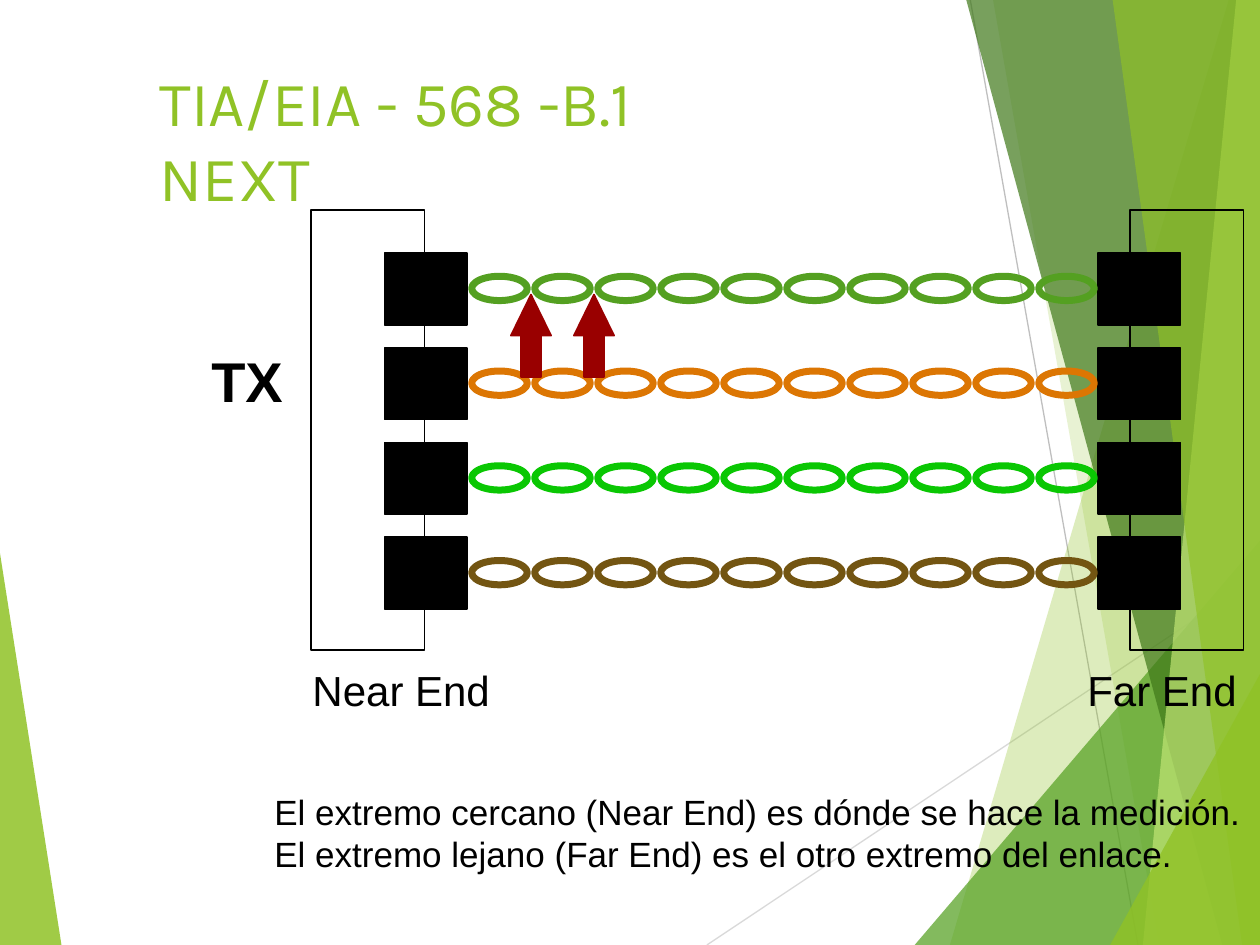
from dataclasses import dataclass
from lxml.etree import SubElement
from pptx import Presentation
from pptx.dml.color import RGBColor
from pptx.enum.shapes import MSO_CONNECTOR, MSO_SHAPE
from pptx.enum.text import MSO_ANCHOR, MSO_AUTO_SIZE
from pptx.oxml.ns import qn
from pptx.util import Cm, Pt


@dataclass(frozen=True)
class Theme:
    lime: str = "90C226"
    leaf: str = "54A021"
    forest: str = "3F7819"
    pale: str = "C0E474"
    black: str = "000000"
    red: str = "990000"
    orange: str = "DC7603"
    green: str = "0AC703"
    brown: str = "735512"
    silver: str = "BFBFBF"
    light: str = "D9D9D9"
    title: int = 36
    label: int = 32
    end: int = 24
    body: int = 20
    head: str = "Karla"
    font: str = "Arial"


class Board:
    def __init__(self, slide, theme):
        self.slide = slide
        self.theme = theme

    def paint(self, shape, fill=None, line=None, width=1, alpha=None):
        shape.shadow.inherit = False
        for part, color in ((shape.fill, fill), (shape.line.fill, line)):
            if color is None:
                part.background()
            else:
                part.solid()
                part.fore_color.rgb = RGBColor.from_string(color)
        if line:
            shape.line.width = Pt(width)
        if alpha:
            color = shape.fill._xPr.find(qn("a:solidFill"))[0]
            SubElement(color, qn("a:alpha")).set("val", str(alpha * 1000))

    def shape(self, kind, box, **style):
        item = self.slide.shapes.add_shape(kind, *map(Cm, box))
        self.paint(item, **style)
        return item

    def shard(self, points, color, alpha):
        first, *rest = [(Cm(x), Cm(y)) for x, y in points]
        build = self.slide.shapes.build_freeform(*first)
        build.add_line_segments(rest)
        self.paint(build.convert_to_shape(), fill=color, alpha=alpha)

    def line(self, start, end, color):
        item = self.slide.shapes.add_connector(
            MSO_CONNECTOR.STRAIGHT, *map(Cm, start + end))
        item.line.color.rgb = RGBColor.from_string(color)
        item.line.width = Pt(0.75)
        SubElement(item._element.spPr, qn("a:effectLst"))

    def text(self, box, lines, size, wrap=False, color=None, **style):
        frame = self.slide.shapes.add_textbox(*map(Cm, box)).text_frame
        format = {"word_wrap": wrap, "auto_size": MSO_AUTO_SIZE.NONE,
                  "vertical_anchor": MSO_ANCHOR.TOP}
        for name, value in format.items():
            setattr(frame, name, value)
        frame.text = lines
        style = {"name": self.theme.font, "size": Pt(size), **style}
        for para in frame.paragraphs:
            for run in para.runs:
                for name, value in style.items():
                    setattr(run.font, name, value)
                run.font.color.rgb = RGBColor.from_string(
                    color or self.theme.black)


WIDE, HIGH = 25.4, 19.05


def backdrop(board):
    theme = board.theme
    board.shard([(0, 11.15), (1.24, HIGH), (0, HIGH)], theme.lime, 85)
    board.line((14.25, HIGH), (WIDE, 11.61), theme.light)
    board.line((19.56, 0), (22.94, HIGH), theme.silver)

    def band(top, base, color, alpha):
        board.shard([(top, 0), (base, HIGH), (WIDE, HIGH), (WIDE, 0)],
                    color, alpha)

    def wedge(base, top, color, alpha):
        board.shard([(base, HIGH), (WIDE, top), (WIDE, HIGH)], color, alpha)

    band(24.77, 19.15, theme.lime, 30)
    band(20.02, 23.37, theme.lime, 20)
    wedge(18.44, 10.9, theme.leaf, 72)
    band(19.48, 24.64, theme.forest, 70)
    band(24.92, 23.04, theme.pale, 70)
    band(22.43, 25.04, theme.lime, 65)
    wedge(22.38, 13.59, theme.lime, 80)


def cable(board):
    theme = board.theme
    pairs = (theme.leaf, theme.orange, theme.green, theme.brown)
    step, twist = 1.91, 1.27
    for frame, jack in ((6.27, 7.75), (22.78, 22.14)):
        board.shape(MSO_SHAPE.RECTANGLE, (frame, 4.24, 2.29, 8.87),
                    line=theme.black)
        for row in range(len(pairs)):
            board.shape(MSO_SHAPE.RECTANGLE,
                        (jack, 5.1 + row * step, 1.66, 1.45),
                        fill=theme.black, line=theme.black)
    for row, color in enumerate(pairs):
        for col in range(10):
            board.shape(MSO_SHAPE.OVAL,
                        (9.51 + col * twist, 5.57 + row * step, 1.12, 0.49),
                        line=color, width=4)
    for col in range(2):
        arrow = board.shape(MSO_SHAPE.UP_ARROW,
                            (10.3 + col * twist, 5.94, 0.81, 1.66),
                            fill=theme.red, line=theme.red)
        arrow.adjustments[1] = 1.02


def words(board):
    theme = board.theme
    board.text((4.01, 6.86, 1.96, 1.6), "TX", theme.label, bold=True)
    board.text((6.05, 13.28, 4.09, 1.27), "Near End", theme.end)
    board.text((21.67, 13.28, 3.53, 1.27), "Far End", theme.end)
    board.text((5.28, 15.82, 20.04, 1.96),
               "El extremo cercano (Near End) es dónde se hace la medición.\n"
               "El extremo lejano (Far End) es el otro extremo del enlace.",
               theme.body, wrap=True)
    board.text((2.97, 1.15, 19.69, 3.1), "TIA/EIA - 568 -B.1\vNEXT",
               theme.title, wrap=True, color=theme.lime, name=theme.head)


def main():
    deck = Presentation()
    deck.slide_width, deck.slide_height = Cm(WIDE), Cm(HIGH)
    board = Board(deck.slides.add_slide(deck.slide_layouts[6]), Theme())
    backdrop(board)
    cable(board)
    words(board)
    deck.save("out.pptx")


if __name__ == "__main__":
    main()
